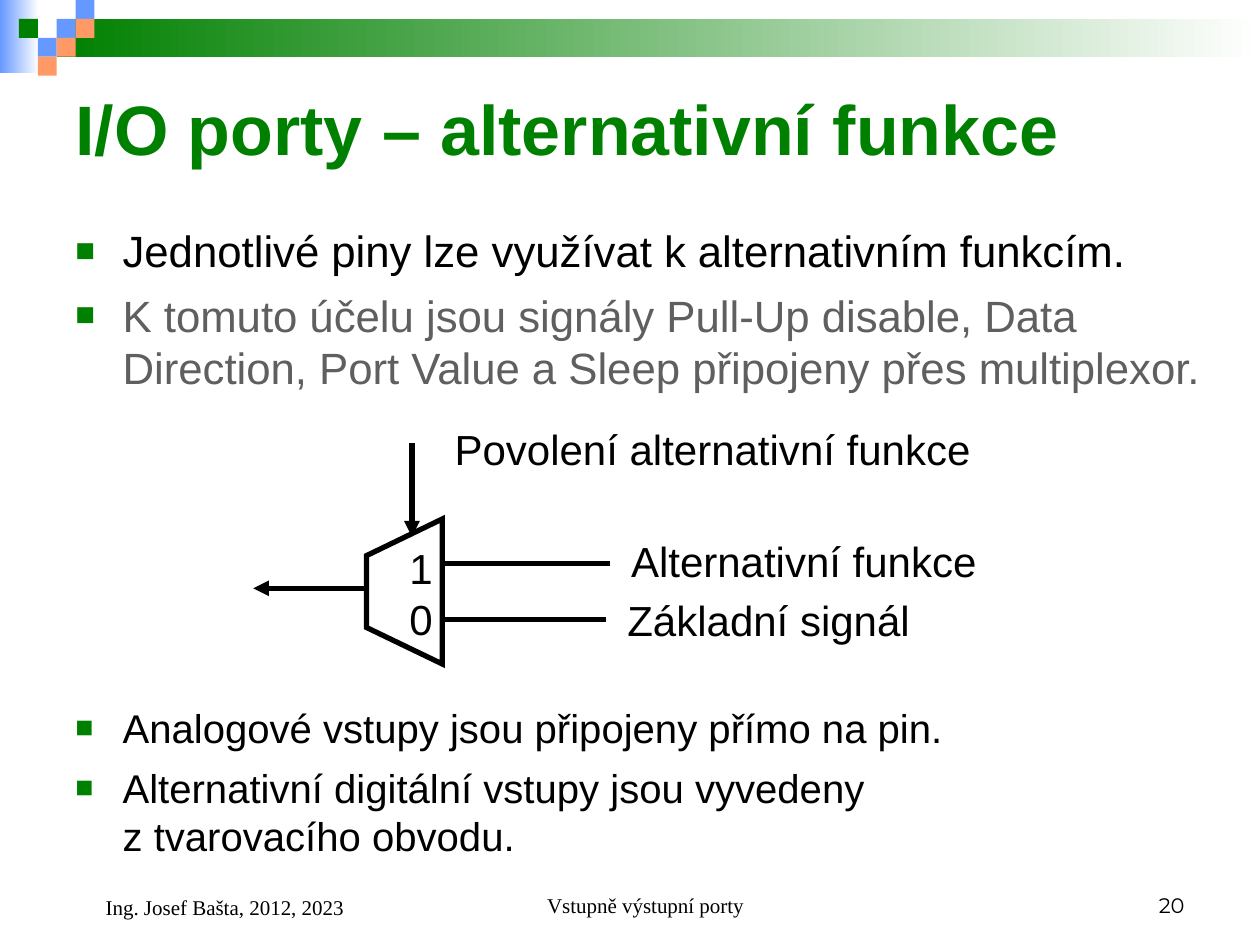
"""Build the slide about alternative functions of I/O ports."""
from lxml.etree import SubElement
from pptx import Presentation
from pptx.dml.color import RGBColor
from pptx.enum.shapes import MSO_CONNECTOR, MSO_SHAPE
from pptx.enum.text import MSO_ANCHOR, PP_ALIGN
from pptx.oxml.ns import qn
from pptx.util import Pt

GREEN = RGBColor(0x00, 0x80, 0x00)
BLUE = RGBColor(0x66, 0x99, 0xFF)
ORANGE = RGBColor(0xFF, 0x99, 0x66)
GREY = RGBColor(0x5F, 0x5F, 0x5F)
BLACK = RGBColor(0x00, 0x00, 0x00)
WHITE = RGBColor(0xFF, 0xFF, 0xFF)

TITLE = "I/O porty – alternativní funkce"
BULLET_LISTS = [
    ((36, 124.5, 665.3, 108), 25, [
        ("Jednotlivé piny lze využívat k alternativním funkcím.", BLACK),
        ("K tomuto účelu jsou signály Pull-Up disable, Data Direction, "
         "Port Value a Sleep připojeny přes multiplexor.", GREY),
    ]),
    ((36, 398.2, 655.2, 99.4), 22.9, [
        ("Analogové vstupy jsou připojeny přímo na pin.", BLACK),
        ("Alternativní digitální vstupy jsou vyvedeny\vz tvarovacího obvodu.", BLACK),
    ]),
]
MULTIPLEXER = [(252.7, 296.6), (252.7, 379.4), (209.5, 358.6), (209.5, 317.5)]
WIRES = [
    ((208.1, 336.2), (144.7, 336.2), True),
    ((254.2, 321.8), (348.5, 321.8), False),
    ((252, 354.2), (346.3, 354.2), False),
    ((235.4, 253.4), (235.4, 306.7), True),
]
LABELS = [
    ("Základní signál", (351.4, 336.2, 185, 36)),
    ("Alternativní funkce", (353.5, 302.4, 238.3, 36)),
    ("1\v0", (226.8, 306.7, 34.6, 64.8)),
    ("Povolení alternativní funkce", (252.7, 238.3, 321.1, 36)),
]
FOOTERS = [
    ("Vstupně výstupní porty", (246.2, 491.8, 228.2, 36), "Times New Roman", PP_ALIGN.CENTER, 17.3),
    ("20", (516.2, 491.8, 167.8, 36), "Montserrat", PP_ALIGN.RIGHT, 0),
    ("Ing. Josef Bašta, 2012, 2023", (36, 491.8, 167.8, 37.4), "Times New Roman", PP_ALIGN.LEFT, 17.3),
]
BANDS = [((0, 0, 22.3, 41.8), BLUE), ((32.4, 10.8, 687.6, 21.6), GREEN)]
TILE = 10.8
TILES = [(3, 1, BLUE), (4, 0, BLUE), (4, 1, ORANGE), (2, 2, BLUE),
         (1, 1, GREEN), (3, 2, ORANGE), (2, 3, ORANGE)]


def lengths(numbers):
    return [Pt(number) for number in numbers]


def add_rectangle(slide, frame):
    box = slide.shapes.add_shape(MSO_SHAPE.RECTANGLE, *lengths(frame))
    box.shadow.inherit = False
    box.line.fill.background()
    return box


def add_text(slide, frame, anchor=MSO_ANCHOR.TOP):
    text_frame = slide.shapes.add_textbox(*lengths(frame)).text_frame
    text_frame.word_wrap = True
    text_frame.vertical_anchor = anchor
    return text_frame


def style(para, text, size, color=BLACK, font="Arial", bold=False):
    para.text = text
    para.font.size = Pt(size)
    para.font.name = font
    para.font.color.rgb = color
    para.font.bold = bold


def add_bullet(para):
    properties = para._p.get_or_add_pPr()
    properties.set("marL", str(Pt(27)))
    properties.set("indent", str(Pt(-27)))
    color = SubElement(properties, qn("a:buClr"))
    SubElement(color, qn("a:srgbClr"), val=str(GREEN))
    SubElement(properties, qn("a:buSzPct"), val="75000")
    SubElement(properties, qn("a:buFont"), typeface="Arial")
    SubElement(properties, qn("a:buChar"), char="■")


def add_header(slide):
    for frame, color in BANDS:
        fill = add_rectangle(slide, frame).fill
        fill.gradient()
        fill.gradient_angle = 0
        for stop, stop_color in zip(fill.gradient_stops, (color, WHITE)):
            stop.color.rgb = stop_color
    for column, row, color in TILES:
        tile = add_rectangle(slide, (column * TILE, row * TILE, TILE, TILE))
        tile.fill.solid()
        tile.fill.fore_color.rgb = color


def add_diagram(slide):
    points = [tuple(lengths(point)) for point in MULTIPLEXER]
    builder = slide.shapes.build_freeform(*points[0])
    builder.add_line_segments(points[1:], close=True)
    multiplexer = builder.convert_to_shape()
    multiplexer.shadow.inherit = False
    multiplexer.fill.solid()
    multiplexer.fill.fore_color.rgb = WHITE
    multiplexer.line.color.rgb = BLACK
    multiplexer.line.width = Pt(3)
    SubElement(multiplexer.line._get_or_add_ln(), qn("a:miter"), lim="800000")
    for start, end, arrow in WIRES:
        wire = slide.shapes.add_connector(MSO_CONNECTOR.STRAIGHT, *lengths(start + end))
        wire.line.color.rgb = BLACK
        wire.line.width = Pt(3)
        if arrow:
            SubElement(wire.line._get_or_add_ln(), qn("a:tailEnd"), type="triangle")
        SubElement(wire._element.spPr, qn("a:effectLst"))
    for text, frame in LABELS:
        style(add_text(slide, frame).paragraphs[0], text, 24)


def main():
    deck = Presentation()
    deck.slide_width, deck.slide_height = Pt(720), Pt(540)
    slide = deck.slides.add_slide(deck.slide_layouts[6])
    add_header(slide)
    title = add_text(slide, (36, 36, 648, 74.2), MSO_ANCHOR.MIDDLE)
    style(title.paragraphs[0], TITLE, 40, GREEN, bold=True)
    for frame, size, items in BULLET_LISTS:
        text_frame = add_text(slide, frame)
        for index, (text, color) in enumerate(items):
            para = text_frame.add_paragraph() if index else text_frame.paragraphs[0]
            add_bullet(para)
            style(para, text, size, color)
            para.space_before = Pt(6.8 if index else 0)
    add_diagram(slide)
    for text, frame, font, alignment, indent in FOOTERS:
        para = add_text(slide, frame, MSO_ANCHOR.BOTTOM).paragraphs[0]
        para._p.get_or_add_pPr().set("marL", str(Pt(indent)))
        style(para, text, 12, font=font)
        para.alignment = alignment
    deck.save("out.pptx")


if __name__ == "__main__":
    main()
